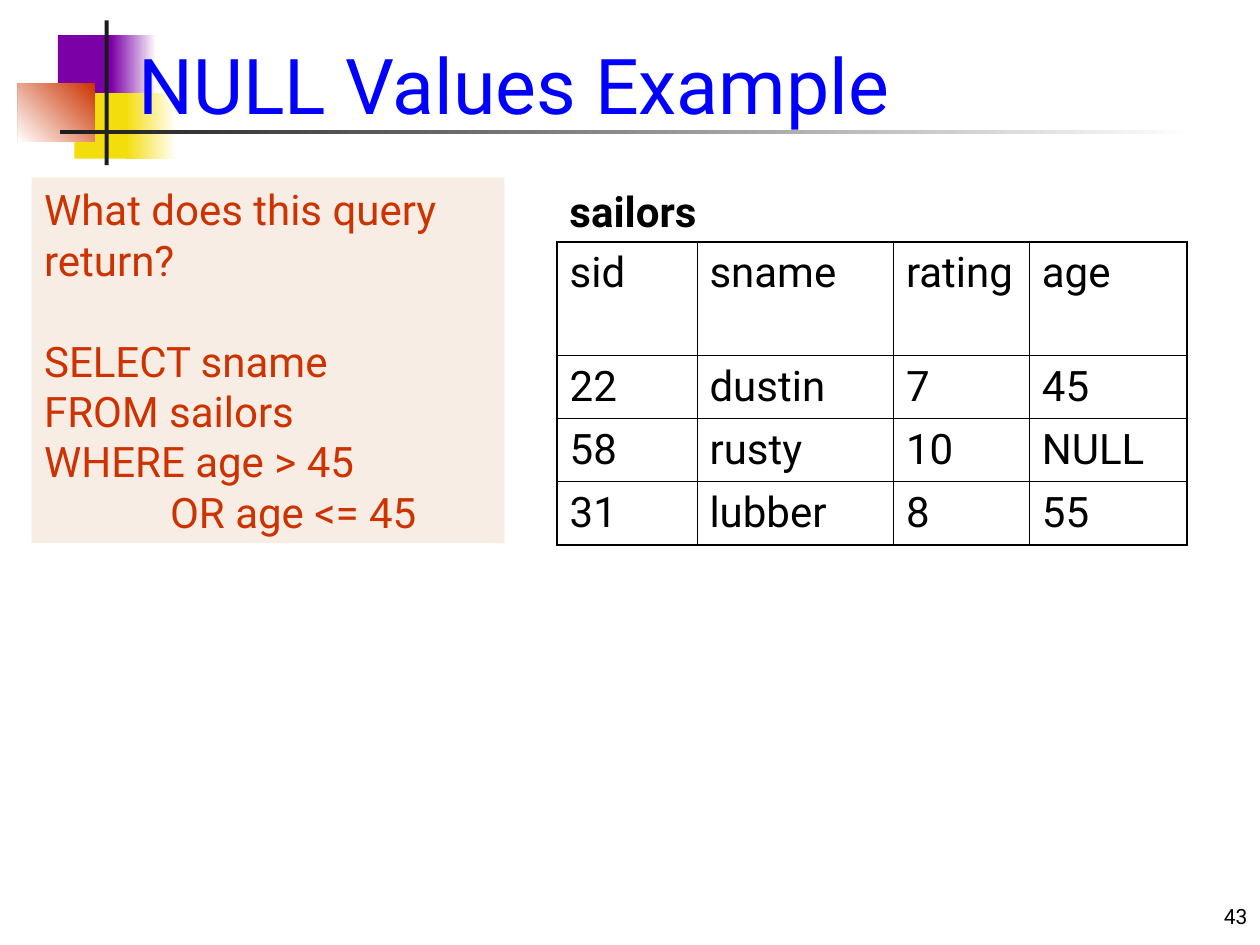
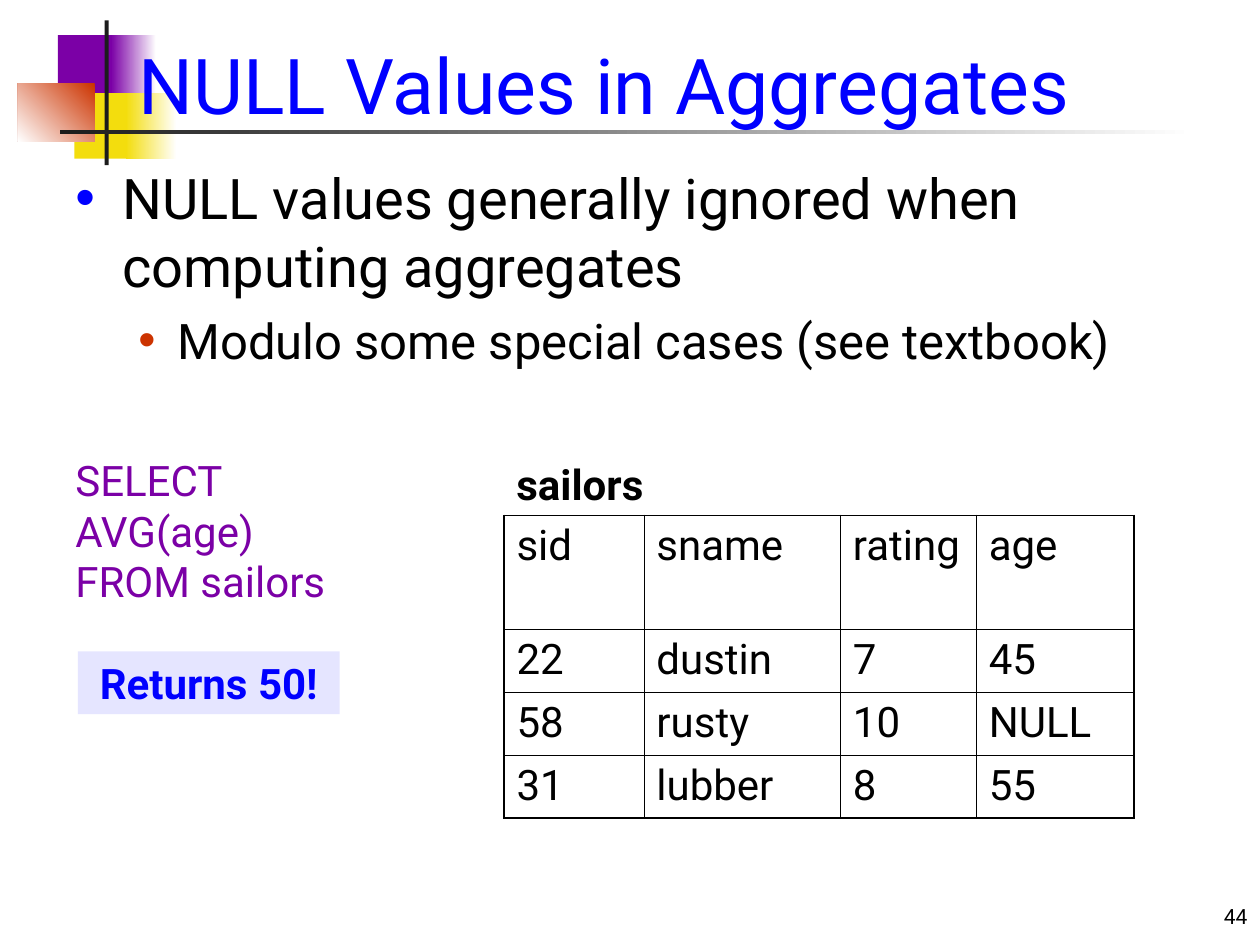
import pptx
import pptx.util
import pptx.dml.color
import pptx.enum.shapes
import pptx.enum.text
import pptx.oxml
import pptx.oxml.ns

Cm = pptx.util.Cm
Pt = pptx.util.Pt
RGB = pptx.dml.color.RGBColor
ALIGN = pptx.enum.text.PP_ALIGN
ANCHOR = pptx.enum.text.MSO_ANCHOR
RECT = pptx.enum.shapes.MSO_SHAPE.RECTANGLE

FONT = "Roboto"
BLACK = RGB(0x00, 0x00, 0x00)
WHITE = RGB(0xFF, 0xFF, 0xFF)
BLUE = RGB(0x00, 0x00, 0xFF)
PURPLE = RGB(0x7B, 0x00, 0xA6)
YELLOW = RGB(0xF3, 0xDD, 0x0D)
RED = RGB(0xCC, 0x33, 0x00)
DARK = RGB(0x1C, 0x1C, 0x1C)
SAND = RGB(0xF2, 0xDD, 0xCA)
LILAC = RGB(0xCC, 0xCC, 0xFF)

# Corner ornament: box in cm, then one colour or (start, end, clockwise angle)
DECOR = [
    ((1.17, 0.71, 1.22, 1.32), PURPLE),
    ((2.24, 0.71, 0.91, 1.32), (WHITE, PURPLE, 180)),
    ((1.5, 1.88, 1.17, 1.32), YELLOW),
    ((2.54, 1.88, 1.02, 1.32), (WHITE, YELLOW, 180)),
    ((0.36, 1.68, 1.55, 1.17), (RED, WHITE, 135)),
    ((2.11, 0.41, 0.08, 2.92), DARK),
    ((1.22, 2.62, 22.86, 0.08), (WHITE, DARK, 180)),
]

SAILORS = [
    ("sid", "sname", "rating", "age"),
    ("22", "dustin", "7", "45"),
    ("58", "rusty", "10", "NULL"),
    ("31", "lubber", "8", "55"),
]
COLS = (2.82, 3.96, 2.74, 3.18)
ROWS = (2.29, 1.27, 1.27, 1.27)
THICK, THIN = 1.08, 0.45
LABEL = 1.27

QUERY = [
    "What does this query return?",
    ("SELECT sname", {"before": 28.8}),
    "FROM sailors",
    "WHERE age > 45",
    ("OR age <= 45", {"left": 2.54}),
]
POINTS = [
    ("NULL values generally ignored when computing aggregates",
     {"size": 32, "left": 0.95, "hang": 0.95, "dot": BLUE}),
    ("Modulo some special cases (see textbook)",
     {"size": 28, "left": 2.06, "hang": 0.79, "dot": RED, "level": 1, "before": 7}),
]
AVERAGE = ["SELECT\vAVG(age)", "FROM sailors"]


def style(para, text, size=24, color=BLACK, bold=False, align=ALIGN.LEFT,
          before=0, left=0, hang=0, dot=None, level=0):
    """Fill one paragraph; left and hang are in cm, dot is a bullet colour."""
    para.text = text
    para.alignment = align
    para.level = level
    if before:
        para.space_before = Pt(before)
    props = para._p.get_or_add_pPr()
    if left:
        props.set("marL", str(Cm(left)))
        props.set("indent", str(-Cm(hang)))
    if dot is not None:
        space = pptx.oxml.ns.nsdecls("a")
        for tag in (f'<a:buClr {space}><a:srgbClr val="{dot}"/></a:buClr>',
                    f'<a:buFont {space} typeface="Arial"/>',
                    f'<a:buChar {space} char="•"/>'):
            props.append(pptx.oxml.parse_xml(tag))
    for run in para.runs:
        font = run.font
        font.name, font.size, font.bold = FONT, Pt(size), bold
        font.color.rgb = color


def write(frame, text, anchor=ANCHOR.TOP, **form):
    """Write a string or a list of strings and (string, format) pairs."""
    frame.word_wrap = True
    frame.vertical_anchor = anchor
    items = [text] if isinstance(text, str) else text
    for i, item in enumerate(items):
        line, extra = (item, {}) if isinstance(item, str) else item
        para = frame.add_paragraph() if i else frame.paragraphs[0]
        style(para, line, **{**form, **extra})


def label(slide, box, text, **form):
    write(slide.shapes.add_textbox(*map(Cm, box)).text_frame, text, **form)


def block(slide, box, paint, alpha=None):
    """Draw a borderless rectangle in one colour or a gradient."""
    shape = slide.shapes.add_shape(RECT, *map(Cm, box))
    shape.shadow.inherit = False
    shape.line.fill.background()
    fill = shape.fill
    if isinstance(paint, RGB):
        fill.solid()
        fill.fore_color.rgb = paint
    else:
        *ends, angle = paint
        fill.gradient()
        fill.gradient_angle = 360 - angle
        for stop, color, place in zip(fill.gradient_stops, ends, (0, 1)):
            stop.color.rgb = color
            stop.position = place
    if alpha:
        tint = shape._element.spPr.find(".//" + pptx.oxml.ns.qn("a:srgbClr"))
        space = pptx.oxml.ns.nsdecls("a")
        tint.append(pptx.oxml.parse_xml(f'<a:alpha {space} val="{alpha * 1000}"/>'))
    return shape


def edge(cell, widths):
    """Set the left, right, top and bottom borders in points."""
    props = cell._tc.get_or_add_tcPr()
    space = pptx.oxml.ns.nsdecls("a")
    for i, (side, width) in enumerate(zip("LRTB", widths)):
        props.insert(i, pptx.oxml.parse_xml(
            f'<a:ln{side} {space} w="{Pt(width)}"><a:solidFill>'
            f'<a:srgbClr val="{BLACK}"/></a:solidFill></a:ln{side}>'))


def grid(slide, left, top):
    """Place the sailors table with its name above it."""
    box = (left, top, sum(COLS), sum(ROWS))
    frame = slide.shapes.add_table(len(ROWS), len(COLS), *map(Cm, box))
    table = frame.table
    table.first_row = table.horz_banding = False
    for col, width in zip(table.columns, COLS):
        col.width = Cm(width)
    for row, height in zip(table.rows, ROWS):
        row.height = Cm(height)
    end, last = len(ROWS) - 1, len(COLS) - 1
    for r, words in enumerate(SAILORS):
        for c, word in enumerate(words):
            cell = table.cell(r, c)
            style(cell.text_frame.paragraphs[0], word)
            cell.fill.background()
            outer = (c == 0, c == last, r == 0, r == end)
            edge(cell, [THICK if out else THIN for out in outer])
    label(slide, (left, top - LABEL, 4.88, LABEL), "sailors", bold=True)


def start(deck, title, number):
    """Add a slide with the ornament, page number and title."""
    slide = deck.slides.add_slide(deck.slide_layouts[6])
    for box, paint in DECOR:
        block(slide, box, paint)
    label(slide, (20.12, 17.58, 5.28, 1.27), str(number), size=12,
          align=ALIGN.RIGHT, anchor=ANCHOR.BOTTOM)
    label(slide, (2.54, -0.43, 22.43, 3.18), title, size=44, color=BLUE,
          anchor=ANCHOR.BOTTOM)
    return slide


def main():
    deck = pptx.Presentation()
    deck.slide_width, deck.slide_height = Cm(25.4), Cm(19.05)

    slide = start(deck, "NULL Values Example", 43)
    grid(slide, 11.23, 4.88)
    query = block(slide, (0.64, 3.58, 9.53, 7.37), SAND, alpha=50)
    write(query.text_frame, QUERY, color=RED, anchor=ANCHOR.MIDDLE)

    slide = start(deck, "NULL Values in Aggregates", 44)
    label(slide, (1.27, 3.18, 23.29, 4.45), POINTS)
    label(slide, (1.27, 9.04, 7.21, 3.3), AVERAGE, color=PURPLE, anchor=ANCHOR.MIDDLE)
    grid(slide, 10.16, 10.39)
    answer = block(slide, (1.57, 13.13, 5.28, 1.27), LILAC, alpha=50)
    write(answer.text_frame, "Returns 50!", color=BLUE, bold=True,
          align=ALIGN.CENTER, anchor=ANCHOR.MIDDLE)

    deck.save("out.pptx")


if __name__ == "__main__":
    main()
